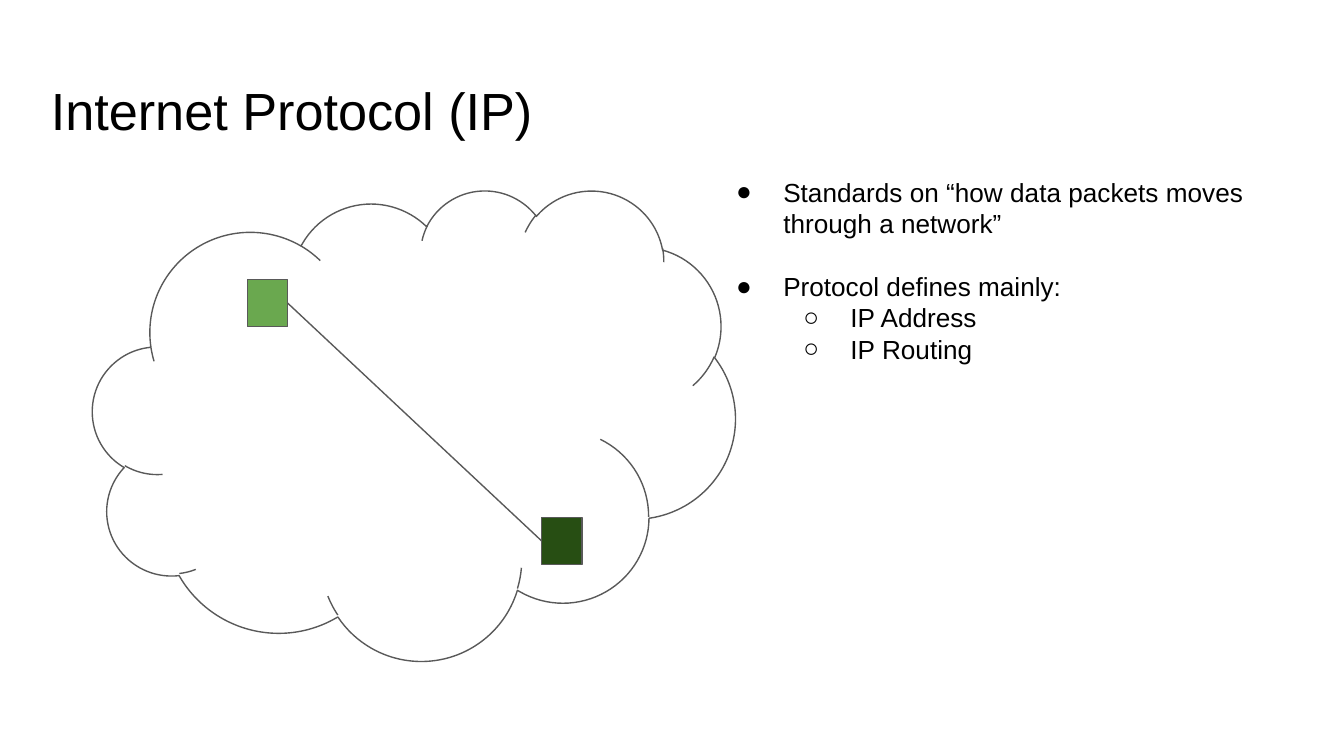
from pptx import Presentation
from pptx.dml.color import RGBColor
from pptx.enum.shapes import MSO_CONNECTOR as Connector, MSO_SHAPE as Shape
from pptx.enum.text import MSO_ANCHOR as Anchor
from pptx.oxml.ns import qn
from pptx.util import Inches, Pt
from lxml.etree import SubElement

BLACK = RGBColor(0x00, 0x00, 0x00)
GRAY = RGBColor(0x59, 0x59, 0x59)
LIGHT_GREEN = RGBColor(0x6A, 0xA8, 0x4F)
DARK_GREEN = RGBColor(0x27, 0x4E, 0x13)
FONT = "Arial"
BULLETS = ("●", "○")


def add_text_box(page, box):
    text_box = page.shapes.add_textbox(*(Inches(value) for value in box))
    frame = text_box.text_frame
    frame.word_wrap = True
    frame.vertical_anchor = Anchor.TOP
    frame.margin_left = frame.margin_right = Inches(0.1)
    frame.margin_top = frame.margin_bottom = Inches(0.1)
    return frame


def write_text(para, text, size, color=BLACK, before=0, level=None):
    para.space_before = Pt(before)
    span = para.add_run()
    span.text = text
    span.font.name = FONT
    span.font.size = Pt(size)
    span.font.color.rgb = color
    if level is not None:
        para.level = level
        properties = para._p.get_or_add_pPr()
        properties.set("marL", str(Inches(0.5 * (level + 1))))
        properties.set("indent", str(Inches(-0.35)))
        bullet_color = SubElement(properties, qn("a:buClr"))
        SubElement(bullet_color, qn("a:srgbClr")).set("val", str(color))
        SubElement(properties, qn("a:buFont")).set("typeface", FONT)
        SubElement(properties, qn("a:buChar")).set("char", BULLETS[level])


def add_title(page, box):
    frame = add_text_box(page, box)
    write_text(frame.paragraphs[0], "Internet Protocol (IP)", size=28)


def add_outlined_shape(group, kind, box, fill=None):
    shape = group.shapes.add_shape(kind, *(Inches(value) for value in box))
    shape.shadow.inherit = False
    shape.line.color.rgb = GRAY
    shape.line.width = Pt(0.75)
    if fill is None:
        shape.fill.background()
    else:
        shape.fill.solid()
        shape.fill.fore_color.rgb = fill
    return shape


def add_network(page, box):
    left, top, width, height = box
    group = page.shapes.add_group_shape()
    add_outlined_shape(group, Shape.CLOUD, box)
    sender, receiver = (
        add_outlined_shape(group, Shape.RECTANGLE, (left + x, top + y, 0.3, 0.35), fill)
        for x, y, fill in ((1.15, 0.67, LIGHT_GREEN), (3.34, 2.44, DARK_GREEN))
    )
    link = group.shapes.add_connector(
        Connector.STRAIGHT,
        sender.left + sender.width, sender.top + sender.height // 2,
        receiver.left, receiver.top + receiver.height // 2,
    )
    link.line.color.rgb = GRAY
    link.line.width = Pt(0.75)
    SubElement(link._element.spPr, qn("a:effectLst"))


def add_bullets(page, box):
    frame = add_text_box(page, box)
    items = (
        ("Standards on “how data packets moves through a network”", 0, 0),
        ("Protocol defines mainly:", 0, 17),
        ("IP Address", 1, 0),
        ("IP Routing", 1, 0),
    )
    for index, (text, level, before) in enumerate(items):
        para = frame.add_paragraph() if index else frame.paragraphs[0]
        write_text(para, text, size=14, before=before, level=level)


def main():
    deck = Presentation()
    deck.slide_width = Inches(10)
    deck.slide_height = deck.slide_width * 9 // 16
    page = deck.slides.add_slide(deck.slide_layouts[6])
    add_title(page, (0.28, 0.48, 9.32, 0.63))
    add_network(page, (0.69, 1.41, 4.78, 3.5))
    add_bullets(page, (5.23, 1.21, 4.63, 4))
    deck.save("out.pptx")


if __name__ == "__main__":
    main()
